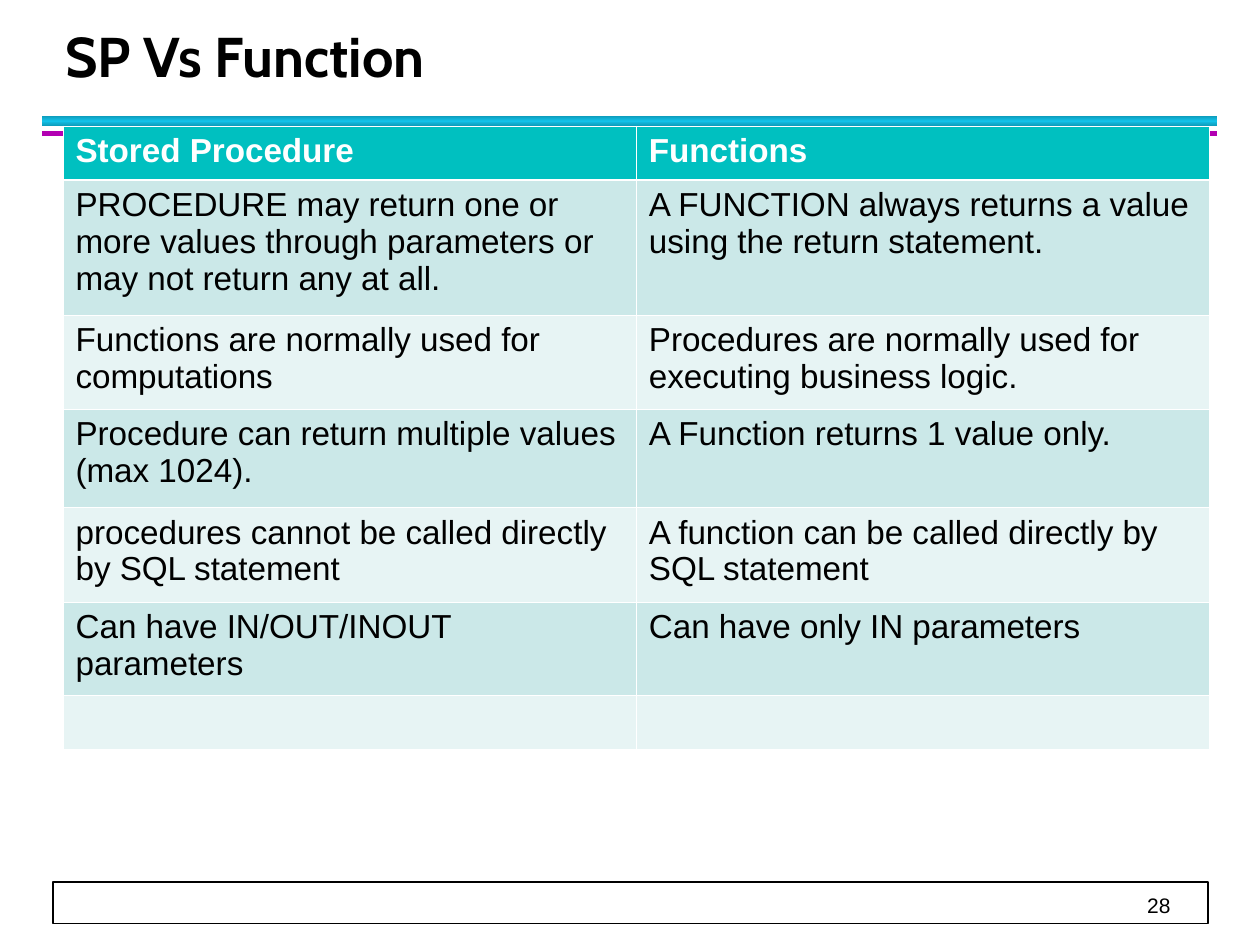
from lxml.etree import SubElement
from pptx import Presentation
from pptx.dml.color import RGBColor
from pptx.enum.shapes import MSO_SHAPE as SHAPE
from pptx.enum.text import MSO_ANCHOR as ANCHOR, PP_ALIGN as ALIGN
from pptx.oxml.ns import qn
from pptx.util import Inches, Pt

# Content
TITLE = "SP Vs Function"
PAGE = "28"
ROWS = [
    ("Stored Procedure", "Functions"),
    ("PROCEDURE may return one or more values through parameters or may not return any at all.",
     "A FUNCTION always returns a value using the return statement."),
    ("Functions are normally used for computations",
     "Procedures are normally used for executing business logic."),
    ("Procedure can return multiple values (max 1024).", "A Function returns 1 value only."),
    ("procedures cannot be called directly by SQL statement",
     "A function can be called directly by SQL statement"),
    ("Can have IN/OUT/INOUT parameters", "Can have only IN parameters"),
    ("", ""),
]
ROW_HEIGHTS = [0.43, 1.07, 0.75, 0.78, 0.75, 0.74, 0.43]
COL_WIDTH = 4.55

THEME = {
    "title": {"name": "Cabin", "size": Pt(32), "bold": True, "color": "000000"},
    "page": {"name": "Arial", "size": Pt(12), "bold": False, "color": "000000"},
    "head": {"name": "Arial", "size": Pt(19), "bold": True, "color": "FFFFFF"},
    "body": {"name": "Arial", "size": Pt(19), "bold": False, "color": "000000"},
    "head_fill": "00C0C0",
    "bands": ["E7F4F4", "CBE8E8"],
    "paper": "FFFFFF",
    "ink": "000000",
    "thin": 0.45,
    "thick": 1.47,
}
# Header bars: top, height, edge colour, middle colour, angle
BARS = [
    (0.92, 0.08, "0E9BBA", "12C2E9", 90),
    (1.04, 0.04, "B200B2", "FF00FF", 0),
]


def rgb(value):
    return RGBColor.from_string(value)


def write(p, text, style):
    r = p.add_run()
    r.text = text
    for key, value in style.items():
        if key == "color":
            r.font.color.rgb = rgb(value)
        else:
            setattr(r.font, key, value)


def add_rect(slide, *box):
    sp = slide.shapes.add_shape(SHAPE.RECTANGLE, *map(Inches, box))
    sp.shadow.inherit = False
    sp.line.fill.background()
    return sp


def add_text(slide, box, text, style, spacing, align, margins):
    tf = slide.shapes.add_textbox(*map(Inches, box)).text_frame
    names = ("margin_left", "margin_top", "margin_right", "margin_bottom")
    layout = dict(zip(names, map(Inches, margins)), word_wrap=True, vertical_anchor=ANCHOR.BOTTOM)
    for key, value in layout.items():
        setattr(tf, key, value)
    p = tf.paragraphs[0]
    p.alignment, p.line_spacing = align, Pt(spacing)
    write(p, text, style)


def set_gradient(sp, edge, middle, angle):
    sp.fill.gradient()
    sp.fill.gradient_angle = angle
    stops = sp.fill._fill._gradFill.find(qn("a:gsLst"))
    for stop in list(stops):
        stops.remove(stop)
    for pos, color in ((0, edge), (50000, middle), (100000, edge)):
        stop = SubElement(stops, qn("a:gs"), pos=str(pos))
        SubElement(stop, qn("a:srgbClr"), val=color)


def set_borders(cell, widths):
    tc_pr = cell._tc.get_or_add_tcPr()
    for i, (side, width) in enumerate(widths.items()):
        ln = tc_pr.makeelement(qn(f"a:ln{side}"), {"w": str(int(Pt(width)))})
        fill = SubElement(ln, qn("a:solidFill"))
        SubElement(fill, qn("a:srgbClr"), val=THEME["paper"])
        tc_pr.insert(i, ln)


def add_table(slide):
    n_rows, n_cols = len(ROWS), len(ROWS[0])
    table = slide.shapes.add_table(
        n_rows, n_cols, Inches(0.5), Inches(1),
        Inches(COL_WIDTH * n_cols), Inches(sum(ROW_HEIGHTS))).table
    for col in table.columns:
        col.width = Inches(COL_WIDTH)
    for i, (texts, height) in enumerate(zip(ROWS, ROW_HEIGHTS)):
        table.rows[i].height = Inches(height)
        thin, thick = THEME["thin"], THEME["thick"]
        borders = {"L": thin, "R": thin, "T": thick if i == 1 else thin, "B": thick if i == 0 else thin}
        for j, text in enumerate(texts):
            cell = table.cell(i, j)
            cell.fill.solid()
            cell.fill.fore_color.rgb = rgb(THEME["bands"][i % 2] if i else THEME["head_fill"])
            set_borders(cell, borders)
            if text:
                write(cell.text_frame.paragraphs[0], text, THEME["body" if i else "head"])


def main():
    prs = Presentation()
    prs.slide_width, prs.slide_height = Inches(10), Inches(7.5)
    slide = prs.slides.add_slide(prs.slide_layouts[6])

    # Footer frame and page number
    frame = add_rect(slide, 0.42, 7, 9.17, 0.33)
    frame.fill.solid()
    frame.fill.fore_color.rgb = rgb(THEME["paper"])
    frame.line.color.rgb = rgb(THEME["ink"])
    frame.line.width = Pt(1)
    add_text(slide, (0.42, 6.72, 9.15, 0.56), PAGE, THEME["page"], 20, ALIGN.RIGHT, (0, 0, 0.28, 0))

    # Header bars
    for top, height, edge, middle, angle in BARS:
        set_gradient(add_rect(slide, 0.33, top, 9.33, height), edge, middle, angle)

    # Title and comparison table
    add_text(slide, (0.42, 0.17, 9.06, 0.58), TITLE, THEME["title"], 36, ALIGN.LEFT,
             (0.1, 0.05, 0.1, 0.05))
    add_table(slide)
    prs.save("out.pptx")


if __name__ == "__main__":
    main()
